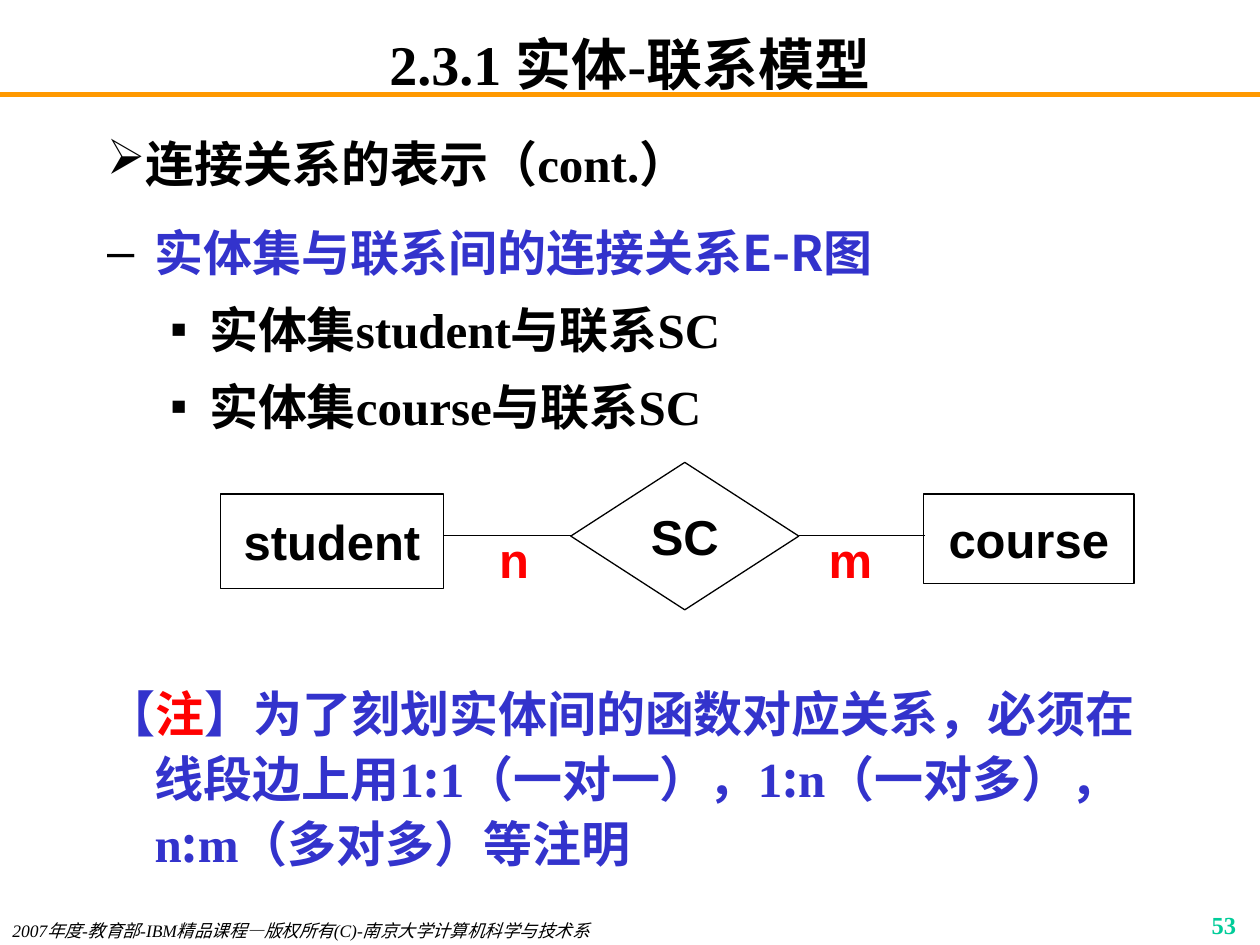
from lxml import etree
from pptx import Presentation
from pptx.dml.color import RGBColor
from pptx.enum.shapes import MSO_CONNECTOR, MSO_SHAPE
from pptx.enum.text import MSO_ANCHOR, MSO_AUTO_SIZE, PP_ALIGN
from pptx.oxml.ns import qn
from pptx.util import Inches, Pt

RECTANGLE, DIAMOND = MSO_SHAPE.RECTANGLE, MSO_SHAPE.DIAMOND
STRAIGHT = MSO_CONNECTOR.STRAIGHT
TOP, MIDDLE = MSO_ANCHOR.TOP, MSO_ANCHOR.MIDDLE
LEFT, CENTER, RIGHT = PP_ALIGN.LEFT, PP_ALIGN.CENTER, PP_ALIGN.RIGHT
SERIF, SANS, CHINESE = "Times New Roman", "Arial", "Noto Sans CJK SC"
BLACK, WHITE, BLUE, RED = "000000", "FFFFFF", "3333CC", "FF0000"
ORANGE, GREEN = "FF9900", "00CC99"


def color(value):
    """Turn a hex string into a colour."""
    return RGBColor.from_string(value)


class SlideBuilder:
    """Hold the text style and the current slide."""

    style = {"size": 28, "name": SERIF, "color": BLACK, "bold": True, "italic": False}

    def __init__(self, slide):
        """Remember the slide to draw on."""
        self.slide = slide

    def frame(self, shape, anchor=TOP, margins=(0.1, 0.05)):
        """Prepare the text frame of a shape."""
        horizontal, vertical = map(Inches, margins)
        values = {"word_wrap": True, "auto_size": MSO_AUTO_SIZE.NONE, "vertical_anchor": anchor,
                  "margin_left": horizontal, "margin_right": horizontal,
                  "margin_top": vertical, "margin_bottom": vertical}
        for name, value in values.items():
            setattr(shape.text_frame, name, value)
        return shape.text_frame

    def place(self, shape, box):
        """Move a placeholder to its box."""
        for name, value in zip(("left", "top", "width", "height"), box):
            setattr(shape, name, Inches(value))
        return shape

    def fill_paragraph(self, paragraph, runs, align=LEFT, spacing=1.0, before=0, level=0,
                       indent=None, bullet=None, **style):
        """Fill a paragraph with formatted runs."""
        values = {"alignment": align, "line_spacing": spacing,
                  "space_before": Pt(before), "level": level}
        for name, value in values.items():
            setattr(paragraph, name, value)
        properties = paragraph._p.get_or_add_pPr()
        if indent:
            for name, value in zip(("marL", "indent"), indent):
                properties.set(name, str(Inches(value)))
        if bullet:
            bullet_color = etree.SubElement(properties, qn("a:buClr"))
            etree.SubElement(bullet_color, qn("a:srgbClr"), val=BLACK)
            etree.SubElement(properties, qn("a:buChar"), char=bullet)
        for text, changes in runs:
            self.add_run(paragraph, text, {**self.style, **style, **changes})

    def add_run(self, paragraph, text, style):
        """Add one run with Latin and Chinese fonts."""
        run = paragraph.add_run()
        run.text = text
        run.font.color.rgb = color(style["color"])
        values = {"size": Pt(style["size"]), "name": style["name"],
                  "bold": style["bold"], "italic": style["italic"]}
        for name, value in values.items():
            setattr(run.font, name, value)
        etree.SubElement(run._r.get_or_add_rPr(), qn("a:ea"), typeface=CHINESE)

    def title(self, text, box):
        """Fill the title placeholder."""
        shape = self.place(self.slide.shapes.title, box)
        frame = self.frame(shape, MIDDLE, (0.1, 0))
        self.fill_paragraph(frame.paragraphs[0], [(text, {})], CENTER, size=32)

    def body(self, items, box):
        """Fill the body placeholder with a list."""
        frame = self.frame(self.place(self.slide.placeholders[1], box))
        for index, (text, values) in enumerate(items):
            paragraph = frame.add_paragraph() if index else frame.paragraphs[0]
            self.fill_paragraph(paragraph, [(text, {})], spacing=1.1,
                                before=7 if index else 0, **values)

    def text(self, runs, box, margins=(0.1, 0.05), **values):
        """Add a text box of one paragraph."""
        shape = self.slide.shapes.add_textbox(*map(Inches, box))
        self.fill_paragraph(self.frame(shape, margins=margins).paragraphs[0], runs, **values)

    def node(self, kind, text, box):
        """Add an outlined diagram shape."""
        shape = self.slide.shapes.add_shape(kind, *map(Inches, box))
        shape.shadow.inherit = False
        shape.fill.solid()
        shape.fill.fore_color.rgb = color(WHITE)
        shape.line.color.rgb = color(BLACK)
        shape.line.width = Pt(0.75)
        frame = self.frame(shape, MIDDLE)
        self.fill_paragraph(frame.paragraphs[0], [(text, {})], CENTER, name=SANS)

    def line(self, start, end, y, line_color=BLACK, width=0.75):
        """Add a horizontal line."""
        connector = self.slide.shapes.add_connector(STRAIGHT, *map(Inches, (start, y, end, y)))
        connector.line.color.rgb = color(line_color)
        connector.line.width = Pt(width)
        etree.SubElement(connector._element.spPr, qn("a:effectLst"))


def main():
    """Build and save the slide."""
    presentation = Presentation()
    presentation.slide_width, presentation.slide_height = Inches(10), Inches(7.5)
    builder = SlideBuilder(presentation.slides.add_slide(presentation.slide_layouts[1]))

    builder.line(0, 10, 0.75, ORANGE, 3)
    builder.title("2.3.1 实体-联系模型", (0.75, 0.25, 8.5, 0.5))
    sub_indent, main_indent = (0.81, -0.31), (0.38, -0.38)
    builder.text([("连接关系的表示（cont.）", {})], (0.25, 0.92, 8.5, 0.67),
                 spacing=1.2, level=1, indent=sub_indent, bullet="➢")

    main_item = {"indent": main_indent, "bullet": "–", "name": CHINESE, "color": BLUE}
    sub_item = {"level": 1, "indent": sub_indent, "bullet": "▪"}
    builder.body([("实体集与联系间的连接关系E-R图", main_item),
                  ("实体集student与联系SC", sub_item),
                  ("实体集course与联系SC", sub_item)], (0.75, 1.67, 8.5, 1.75))

    builder.node(RECTANGLE, "student", (1.75, 3.92, 1.77, 0.75))
    builder.node(DIAMOND, "SC", (4.53, 3.67, 1.81, 1.17))
    builder.node(RECTANGLE, "course", (7.33, 3.92, 1.67, 0.71))
    for start, end, label, left in ((3.52, 4.53, "n", 3.83), (6.34, 7.34, "m", 6.5)):
        builder.line(start, end, 4.25)
        builder.text([(label, {})], (left, 4.2, 0.5, 0.47), (0, 0),
                     align=CENTER, name=SANS, color=RED)

    colon = (":", {"name": CHINESE})
    note = [("【", {}), ("注", {"color": RED}),
            ("】为了刻划实体间的函数对应关系，必须在线段边上用1", {}), colon,
            ("1（一对一），1", {}), colon, ("n（一对多），n", {}), colon,
            ("m（多对多）等注明", {})]
    builder.text(note, (0.75, 5.33, 8.5, 1.58), spacing=1.1, indent=main_indent, color=BLUE)

    builder.text([("2007年度-教育部-IBM精品课程—版权所有(C)-南京大学计算机科学与技术系", {})],
                 (0, 7.25, 5.5, 0.25), size=10, bold=False, italic=True)
    builder.text([("53", {})], (7.83, 7.17, 2.08, 0.25), align=RIGHT, size=14, color=GREEN)
    presentation.save("out.pptx")


if __name__ == "__main__":
    main()
